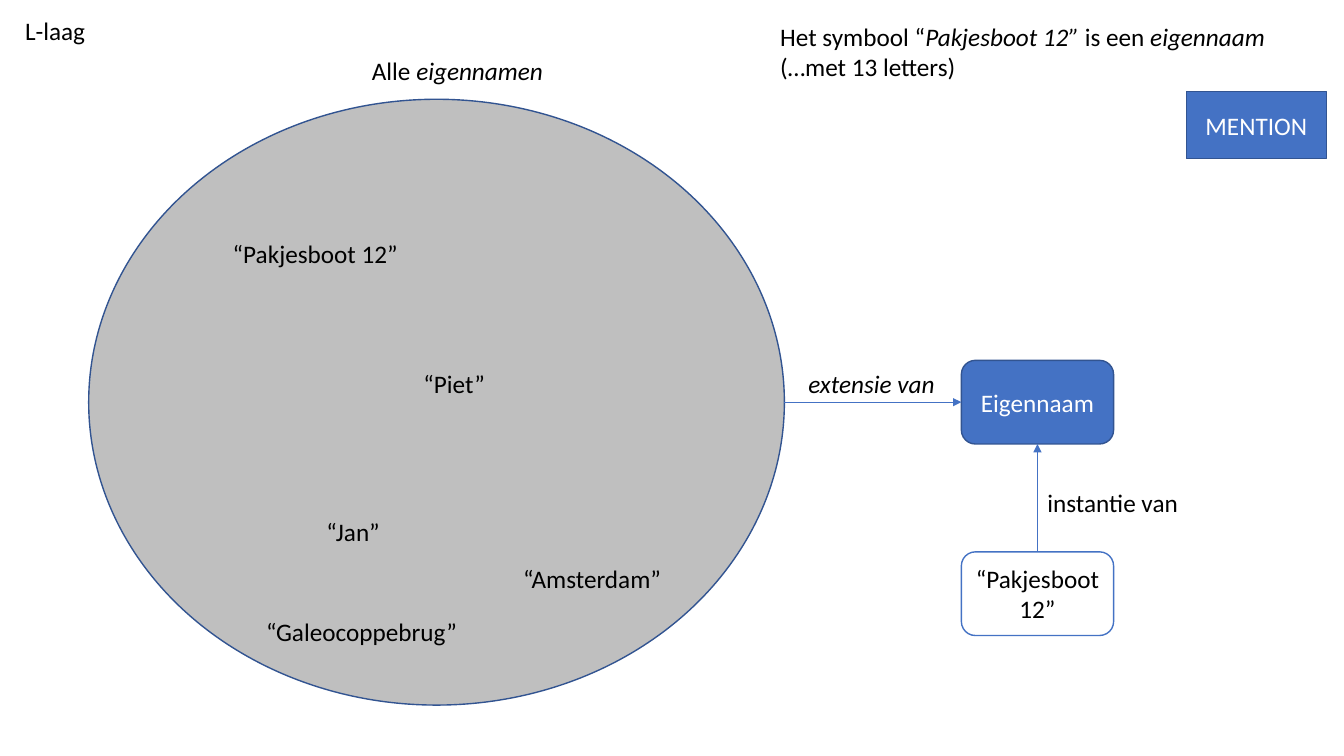
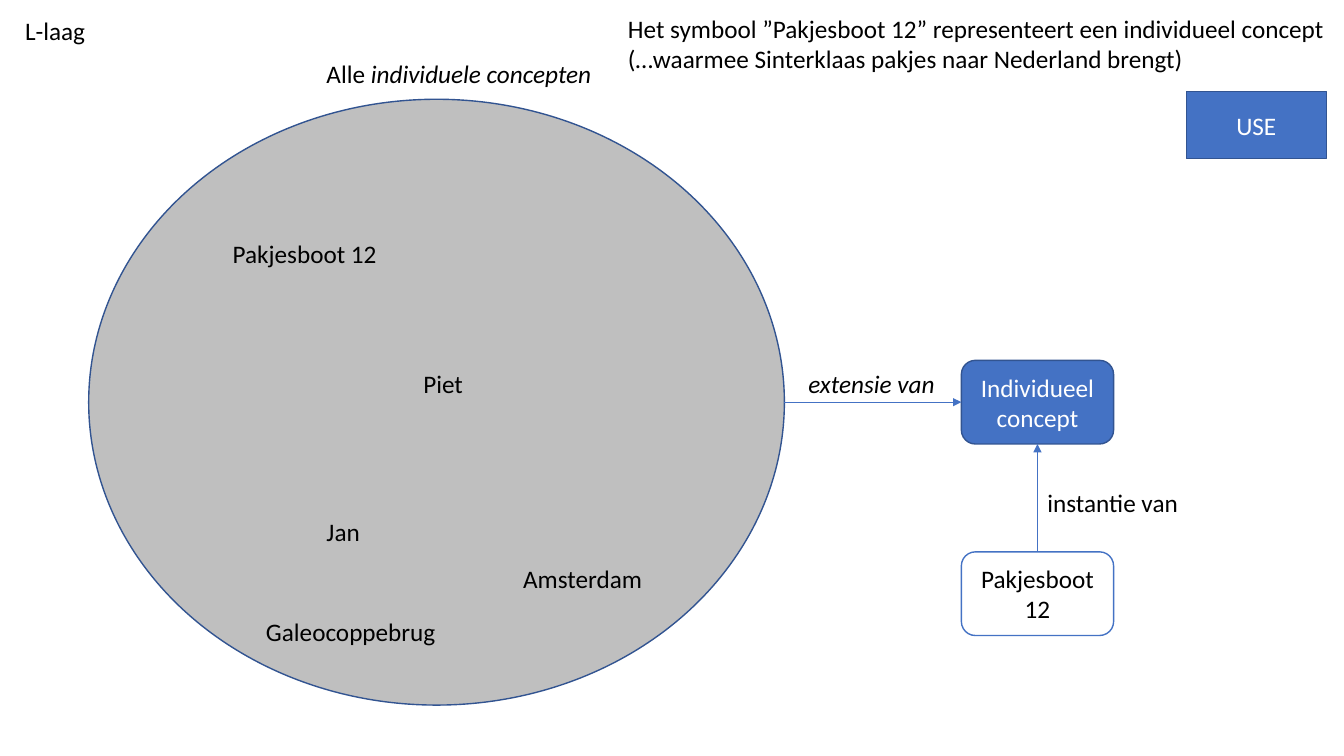
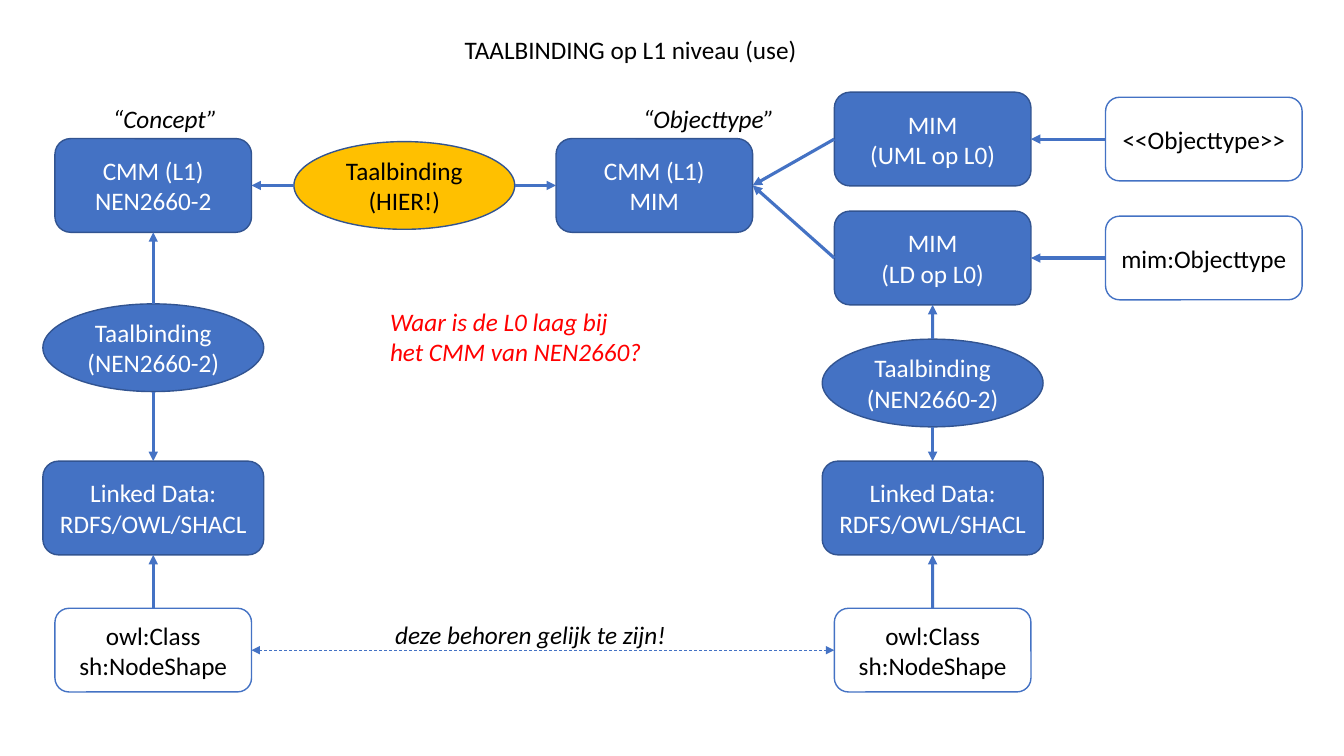
"""Three slides on mention, use and language binding."""
from dataclasses import dataclass

from lxml.etree import SubElement
from pptx import Presentation
from pptx.dml.color import RGBColor
from pptx.enum.dml import MSO_LINE_DASH_STYLE as Dash
from pptx.enum.shapes import MSO_CONNECTOR as Connector, MSO_SHAPE as Shape
from pptx.enum.text import MSO_ANCHOR as Anchor, MSO_AUTO_SIZE as AutoSize, PP_ALIGN as Align
from pptx.oxml.ns import qn
from pptx.util import Inches, Pt


@dataclass(frozen=True)
class Theme:
    """Colours, type and line sizes shared by the slides."""
    font: str = "Calibri"
    size: int = 18
    black: str = "000000"
    white: str = "FFFFFF"
    red: str = "FF0000"
    blue: str = "4472C4"
    edge: str = "325491"
    grey: str = "BFBFBF"
    gold: str = "FFC000"
    outline: float = 1
    thin: float = 0.5
    thick: float = 2.25


THEME = Theme()
CONCEPT = {"fill": THEME.blue, "edge": THEME.edge, "ink": THEME.white}
INSTANCE = {"fill": THEME.white, "edge": THEME.blue, "ink": THEME.black}
HIGHLIGHT = {"fill": THEME.gold, "edge": THEME.edge, "ink": THEME.black}
EXTENSION = {"fill": THEME.grey, "edge": THEME.edge, "ink": THEME.black}

BOX, SMALL_BOX, WIDE_BOX = (1.95, 0.93), (1.95, 0.83), (2.19, 0.93)
BINDING, TERM_BOX, CIRCLE, BADGE = (2.19, 0.87), (1.51, 0.83), (6.9, 6.01), (1.39, 0.67)
SIDES = {"top": (0, 0.5, 0), "left": (1, 0, 0.5), "bottom": (2, 0.5, 1), "right": (3, 1, 0.5)}
NAME_PLACES = [(2.21, 2.32), (4.1, 3.6), (3.14, 5.07), (5.09, 5.54), (2.54, 6.07)]
NAMES = ["Pakjesboot 12", "Piet", "Jan", "Amsterdam", "Galeocoppebrug"]


def apply(target, values):
    """Set each named attribute of the target."""
    for name, value in values.items():
        setattr(target, name, value)


def write(frame, text, colour, align):
    """Write one paragraph per line, with italics between asterisks."""
    for index, line in enumerate(text.split("\n")):
        paragraph = frame.add_paragraph() if index else frame.paragraphs[0]
        paragraph.alignment = align
        for position, part in enumerate(line.split("*")):
            if part:
                run = paragraph.add_run()
                run.text = part
                apply(run.font, {"name": THEME.font, "size": Pt(THEME.size),
                                 "italic": position % 2 == 1})
                run.font.color.rgb = RGBColor.from_string(colour)


def add_label(slide, place, size, text, colour=THEME.black):
    """Add an unwrapped text box with its top left corner at the place."""
    shape = slide.shapes.add_textbox(*map(Inches, place + size))
    apply(shape.text_frame, {"word_wrap": False, "auto_size": AutoSize.SHAPE_TO_FIT_TEXT})
    write(shape.text_frame, text, colour, Align.LEFT)


def add_node(slide, kind, centre, size, style, text=""):
    """Add a filled shape around a centre point."""
    left, top = (middle - length / 2 for middle, length in zip(centre, size))
    shape = slide.shapes.add_shape(kind, *map(Inches, (left, top) + size))
    shape.shadow.inherit = False
    shape.fill.solid()
    shape.fill.fore_color.rgb = RGBColor.from_string(style["fill"])
    shape.line.color.rgb = RGBColor.from_string(style["edge"])
    shape.line.width = Pt(THEME.outline)
    apply(shape.text_frame, {"word_wrap": True, "vertical_anchor": Anchor.MIDDLE})
    write(shape.text_frame, text, style["ink"], Align.CENTER)
    return shape


def side_point(shape, side):
    """Return the middle of one side of a shape."""
    _, across, down = SIDES[side]
    return int(shape.left + shape.width * across), int(shape.top + shape.height * down)


def add_arrow(slide, start, start_side, end, end_side, width=THEME.thick, both_ways=False):
    """Join two shapes with an arrow, dashed if it points both ways."""
    points = side_point(start, start_side) + side_point(end, end_side)
    connector = slide.shapes.add_connector(Connector.STRAIGHT, *points)
    connector.line.color.rgb = RGBColor.from_string(THEME.blue)
    connector.line.width = Pt(width)
    if both_ways:
        connector.line.dash_style = Dash.DASH
    properties = connector._element.spPr
    outline = properties.find(qn("a:ln"))
    for tag in ("a:headEnd", "a:tailEnd") if both_ways else ("a:tailEnd",):
        SubElement(outline, qn(tag), type="triangle")
    SubElement(properties, qn("a:effectLst"))
    joints = connector._element.nvCxnSpPr.cNvCxnSpPr
    for tag, shape, side in (("a:stCxn", start, start_side), ("a:endCxn", end, end_side)):
        step = 2 if shape.auto_shape_type == Shape.OVAL else 1
        SubElement(joints, qn(tag), id=str(shape.shape_id), idx=str(SIDES[side][0] * step))


def add_extension_slide(presentation, heading, claim, badge, concept, names, widths):
    """Add a slide with a set of names as the extension of a concept."""
    slide = presentation.slides.add_slide(presentation.slide_layouts[6])
    circle = add_node(slide, Shape.OVAL, (4.33, 3.99), CIRCLE, EXTENSION)
    for place, name, width in zip(NAME_PLACES, names, widths):
        add_label(slide, place, (width, 0.4), name)
    add_label(slide, *heading)
    term = add_node(slide, Shape.ROUNDED_RECTANGLE, (10.29, 3.99), TERM_BOX, CONCEPT, concept)
    instance = add_node(slide, Shape.ROUNDED_RECTANGLE, (10.29, 5.89), TERM_BOX, INSTANCE, names[0])
    add_arrow(slide, circle, "right", term, "left", THEME.thin)
    add_arrow(slide, instance, "top", term, "bottom", THEME.thin)
    add_label(slide, (7.92, 3.61), (1.48, 0.4), "*extensie van*")
    add_label(slide, (10.29, 4.79), (1.51, 0.4), "instantie van")
    add_label(slide, *claim)
    add_node(slide, Shape.RECTANGLE, (12.46, 1.24), BADGE, CONCEPT, badge)
    add_label(slide, (0.15, 0.1), (0.81, 0.4), "L-laag")


def add_binding_column(slide, x, binding_y, model):
    """Bind a model to Linked Data below it and return its class box."""
    binding = add_node(slide, Shape.OVAL, (x, binding_y), BINDING, CONCEPT,
                       "Taalbinding\n(NEN2660-2)")
    data = add_node(slide, Shape.ROUNDED_RECTANGLE, (x, 5.04), WIDE_BOX, CONCEPT,
                    "Linked Data:\nRDFS/OWL/SHACL")
    node_class = add_node(slide, Shape.ROUNDED_RECTANGLE, (x, 6.45), SMALL_BOX, INSTANCE,
                          "owl:Class\nsh:NodeShape")
    add_arrow(slide, binding, "top", model, "bottom")
    add_arrow(slide, binding, "bottom", data, "top")
    add_arrow(slide, node_class, "top", data, "bottom")
    return node_class


def add_binding_slide(presentation):
    """Add the slide on language binding at level L1."""
    slide = presentation.slides.add_slide(presentation.slide_layouts[6])
    left, middle, right, far = 1.52, 6.49, 9.25, 11.94
    row = 1.84

    def add_model(x, y, text):
        """Add a model box."""
        return add_node(slide, Shape.ROUNDED_RECTANGLE, (x, y), BOX, CONCEPT, text)

    concept = add_model(left, row, "CMM (L1)\nNEN2660-2")
    object_type = add_model(middle, row, "CMM (L1)\nMIM")
    for y, text, example in ((1.38, "MIM\n(UML op L0)", "<<Objecttype>>"),
                             (2.56, "MIM\n(LD op L0)", "mim:Objecttype")):
        model = add_model(right, y, text)
        instance = add_node(slide, Shape.ROUNDED_RECTANGLE, (far, y), SMALL_BOX, INSTANCE, example)
        add_arrow(slide, instance, "left", model, "right")
        add_arrow(slide, model, "left", object_type, "right")

    here = add_node(slide, Shape.OVAL, (4.01, row), BINDING, HIGHLIGHT, "Taalbinding\n(HIER!)")
    add_arrow(slide, here, "left", concept, "right")
    add_arrow(slide, here, "right", object_type, "left")

    left_class = add_binding_column(slide, left, 3.45, concept)
    right_class = add_binding_column(slide, right, 3.8, model)
    add_arrow(slide, left_class, "right", right_class, "left", THEME.thin, both_ways=True)

    add_label(slide, (4.51, 0.29), (3.54, 0.4), "TAALBINDING op L1 niveau (use)")
    add_label(slide, (1.02, 0.98), (1.25, 0.4), "*“Concept”*")
    add_label(slide, (6.28, 0.98), (1.52, 0.4), "*“Objecttype”*")
    add_label(slide, (3.82, 6.09), (2.98, 0.4), "*deze behoren gelijk te zijn!*")
    add_label(slide, (3.77, 2.99), (2.72, 0.71),
              "*Waar is de L0 laag bij*\n*het CMM van NEN2660?*", THEME.red)


def main():
    """Build and save the presentation."""
    presentation = Presentation()
    apply(presentation, {"slide_width": Inches(13.33), "slide_height": Inches(7.5)})
    add_extension_slide(
        presentation,
        heading=((3.59, 0.5), (1.92, 0.4), "Alle *eigennamen*"),
        claim=((7.64, 0.16), (5.06, 0.71),
               "Het symbool “*Pakjesboot 12”* is een *eigennaam*\n(…met 13 letters)"),
        badge="MENTION",
        concept="Eigennaam",
        names=[f"“{name}”" for name in NAMES],
        widths=(1.85, 0.82, 0.74, 1.58, 2.12))
    add_extension_slide(
        presentation,
        heading=((3.14, 0.53), (2.86, 0.4), "Alle *individuele concepten*"),
        claim=((6.13, 0.08), (7.19, 0.71),
               "Het symbool ”Pakjesboot 12” representeert een individueel concept\n"
               "(…waarmee Sinterklaas pakjes naar Nederland brengt)"),
        badge="USE",
        concept="Individueel concept",
        names=NAMES,
        widths=(1.64, 0.6, 0.54, 1.39, 1.9))
    add_binding_slide(presentation)
    presentation.save("out.pptx")


if __name__ == "__main__":
    main()
